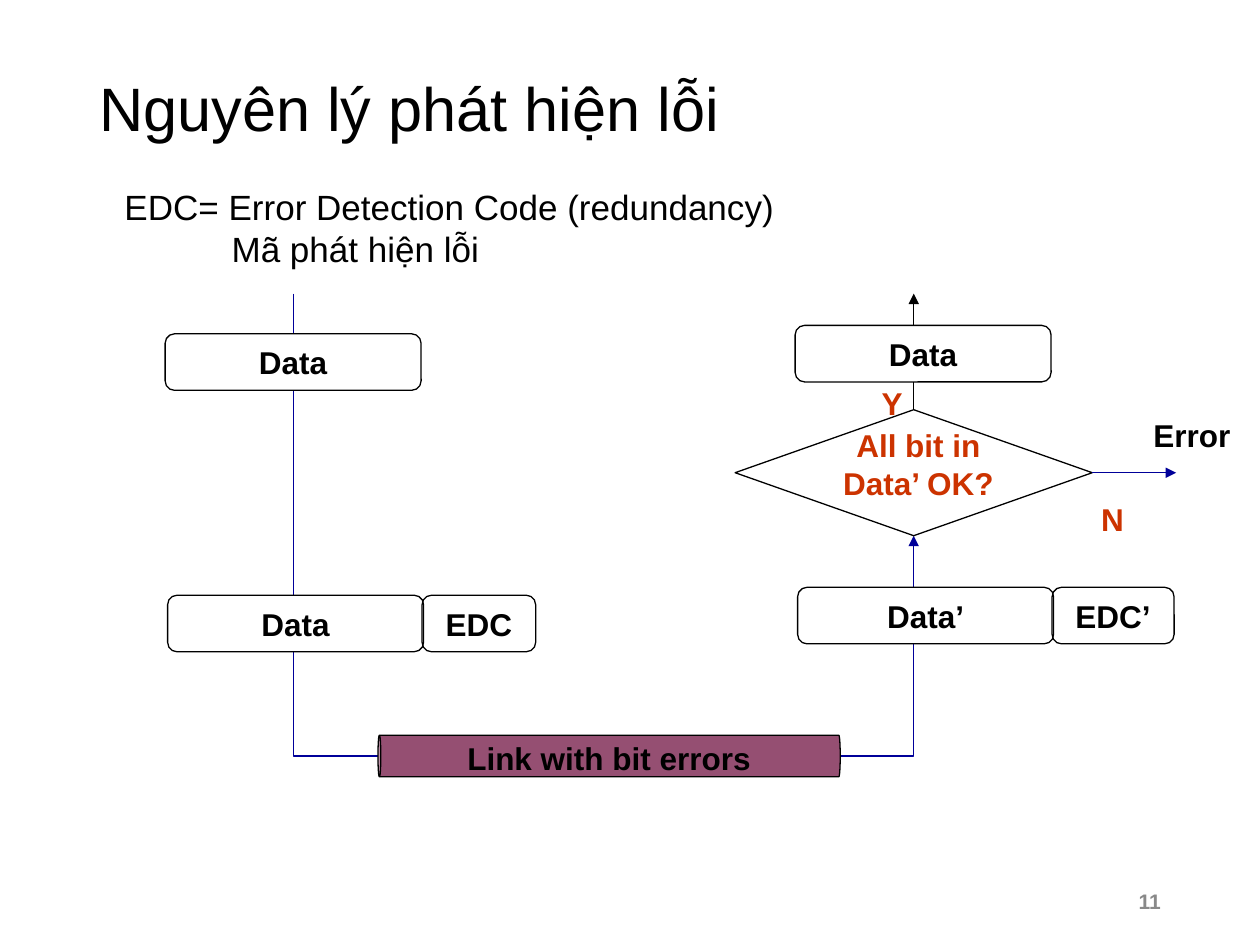
"""Build a slide that explains the principle of error detection."""
from lxml import etree
from pptx import Presentation, util as u
from pptx.dml import color
from pptx.enum import shapes, text
from pptx.oxml import ns

BLACK, WHITE, NAVY, RED, GREY, PLUM = "000000", "FFFFFF", "000099", "CC3300", "898989", "954F72"
CENTER, LEFT, RIGHT = text.PP_ALIGN.CENTER, text.PP_ALIGN.LEFT, text.PP_ALIGN.RIGHT
TOP, MIDDLE = text.MSO_ANCHOR.TOP, text.MSO_ANCHOR.MIDDLE
KIND = shapes.MSO_SHAPE
BOX_WIDTH, BOX_HEIGHT = 5.16, 1.14
SENDER_X, RECEIVER_X = 5.92, 18.42


def rgb(value):
    """Turn a hex string into a colour."""
    return color.RGBColor.from_string(value)


def lengths(*values):
    """Turn centimetres into slide lengths."""
    return [u.Cm(value) for value in values]


def write(shape, words, size=18, ink=BLACK, bold=True, align=CENTER, anchor=TOP,
          spacing=None, top=0.13, indents=()):
    """Write one paragraph for each line of words into a shape."""
    frame = shape.text_frame
    frame.word_wrap = True
    frame.vertical_anchor = anchor
    frame.margin_left = frame.margin_right = u.Cm(0.25)
    frame.margin_top, frame.margin_bottom = lengths(top, 0.13)
    for index, line in enumerate(words.split("\n")):
        para = frame.paragraphs[0] if index == 0 else frame.add_paragraph()
        para.alignment = align
        para.line_spacing = spacing
        if index < len(indents):
            para._p.get_or_add_pPr().set("marL", str(u.Cm(indents[index])))
        span = para.add_run()
        span.text = line
        span.font.name, span.font.size, span.font.bold = "Arial", u.Pt(size), bold
        span.font.color.rgb = rgb(ink)


def add_text(page, place, words, **style):
    """Add a text box."""
    box = page.shapes.add_textbox(*lengths(*place))
    write(box, words, **style)


def outline(shape, ink=BLACK, fill=None):
    """Give a shape a thin line, an optional fill and no shadow."""
    shape.shadow.inherit = False
    shape.line.color.rgb = rgb(ink)
    shape.line.width = u.Pt(0.75)
    if fill:
        shape.fill.solid()
        shape.fill.fore_color.rgb = rgb(fill)
    else:
        shape.fill.background()


def add_shape(page, kind, place, fill=None):
    """Add an outlined preset shape."""
    shape = page.shapes.add_shape(kind, *lengths(*place))
    outline(shape, fill=fill)
    return shape


def add_block(page, left, top, words, width=BOX_WIDTH, fill=WHITE):
    """Add a labelled rounded box."""
    block = add_shape(page, KIND.ROUNDED_RECTANGLE, (left, top, width, BOX_HEIGHT), fill)
    write(block, words, anchor=MIDDLE)


def add_head(shape):
    """Put a triangle at the end of a line."""
    etree.SubElement(shape.line._get_or_add_ln(), ns.qn("a:tailEnd"), type="triangle")


def add_arrow(page, start, end, ink):
    """Add a straight arrow."""
    arrow = page.shapes.add_connector(shapes.MSO_CONNECTOR.STRAIGHT, *lengths(*start, *end))
    arrow.line.color.rgb = rgb(ink)
    arrow.line.width = u.Pt(0.75)
    add_head(arrow)
    etree.SubElement(arrow._element.spPr, ns.qn("a:effectLst"))


def add_route(page, points, ink):
    """Add an open arrow that bends at each point."""
    start, *rest = [lengths(*point) for point in points]
    builder = page.shapes.build_freeform(*start)
    builder.add_line_segments(rest, close=False)
    route = builder.convert_to_shape()
    outline(route, ink)
    add_head(route)


def add_side(page, left, top, gap, labels, code_width):
    """Add the data box and, below it, the data box with its code."""
    data, sent, code = labels
    add_block(page, left, top, data)
    add_block(page, left + 0.05, top + gap, sent)
    add_block(page, left + 5.18, top + gap, code, code_width, None)


def main():
    """Build and save the deck."""
    deck = Presentation()
    deck.slide_width, deck.slide_height = lengths(25.4, 19.05)
    page = deck.slides.add_slide(deck.slide_layouts[6])

    add_text(page, (1.75, 1.02, 21.92, 3.68), "Nguyên lý phát hiện lỗi",
             size=35, bold=False, align=LEFT, spacing=0.9, top=0.56)
    add_text(page, (17.93, 17.65, 5.72, 1.02), "11",
             size=12, ink=GREY, align=RIGHT, anchor=MIDDLE)
    add_arrow(page, (RECEIVER_X, 8.26), (RECEIVER_X, 5.92), BLACK)
    add_route(page, [(SENDER_X, 5.92), (SENDER_X, 15.24),
                     (RECEIVER_X, 15.24), (RECEIVER_X, 10.8)], NAVY)
    add_text(page, (2.26, 3.61, 23.14, 2.79),
             "EDC= Error Detection Code (redundancy)\nMã phát hiện lỗi",
             size=20, bold=False, align=LEFT, indents=(0, 2.16))

    add_side(page, 3.33, 6.73, 5.27, ("Data", "Data", "EDC"), 2.29)
    add_side(page, 16.03, 6.56, 5.28, ("Data", "Data’", "EDC’"), 2.46)

    add_shape(page, KIND.DIAMOND, (14.82, 8.26, 7.2, 2.54))
    add_text(page, (16.71, 8.46, 3.61, 1.78), "All bit in Data’ OK?", ink=RED)
    add_text(page, (17.35, 7.62, 1.27, 1.02), "Y", ink=RED)
    add_text(page, (21.79, 9.96, 1.27, 1.02), "N", ink=RED)
    add_arrow(page, (22.02, 9.53), (23.71, 9.53), NAVY)
    add_text(page, (22.66, 8.26, 2.74, 1.02), "Error")

    link = add_shape(page, KIND.CAN, (11.86, 10.58, 0.84, 9.32), PLUM)
    link.rotation = 270
    link.adjustments[0] = 0.07
    add_text(page, (8.89, 14.76, 6.78, 1.02), "Link with bit errors")

    deck.save("out.pptx")


if __name__ == "__main__":
    main()
